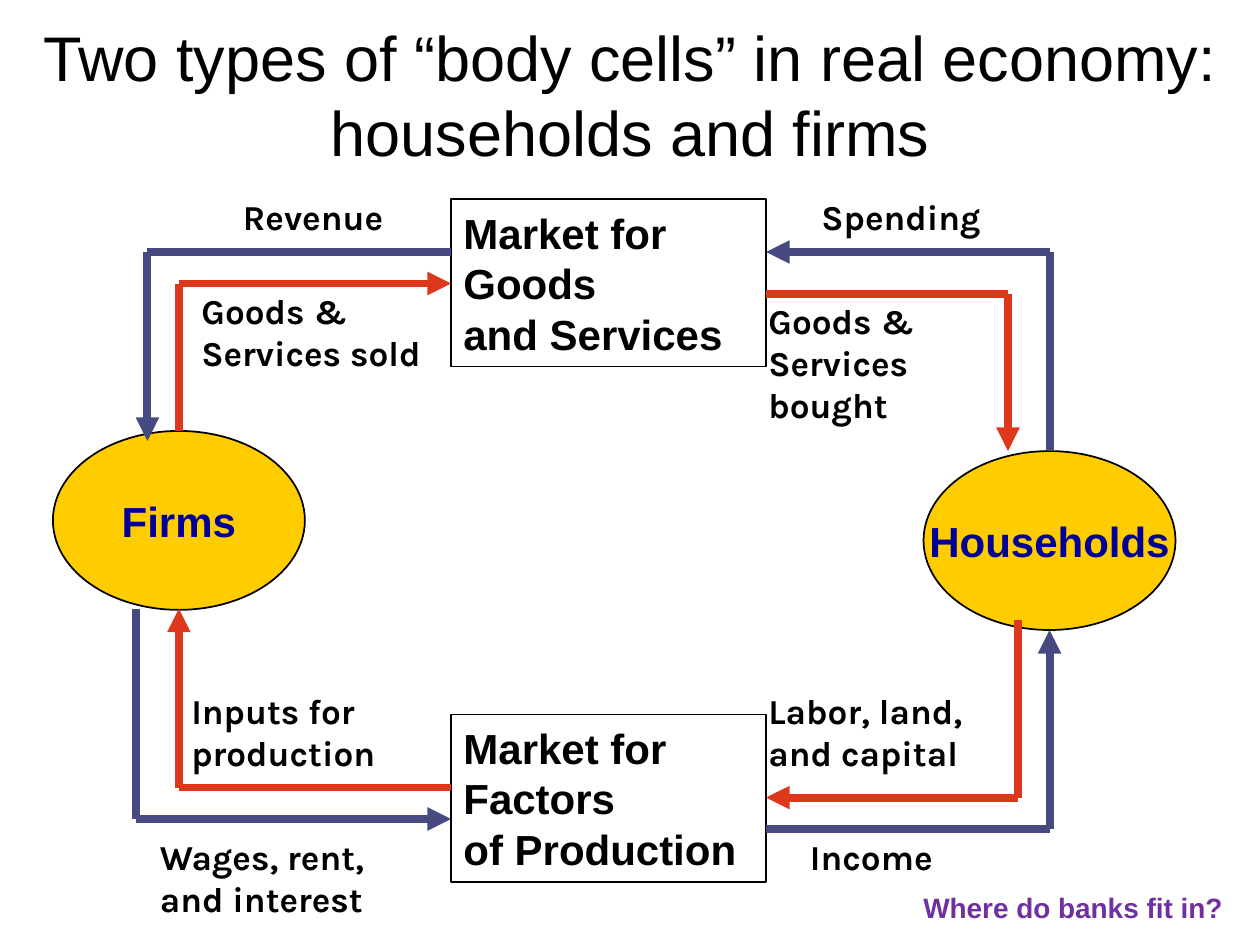
from itertools import pairwise

from lxml.etree import SubElement
from pptx import Presentation
from pptx.dml.color import RGBColor
from pptx.enum.shapes import MSO_CONNECTOR, MSO_SHAPE
from pptx.enum.text import MSO_ANCHOR, PP_ALIGN
from pptx.oxml.ns import qn
from pptx.util import Inches, Pt

BLACK = RGBColor(0x00, 0x00, 0x00)
WHITE = RGBColor(0xFF, 0xFF, 0xFF)
GOLD = RGBColor(0xFF, 0xCC, 0x00)
NAVY = RGBColor(0x00, 0x00, 0x99)
PURPLE = RGBColor(0x70, 0x30, 0xA0)
MONEY = RGBColor(0x47, 0x4A, 0x81)
GOODS = RGBColor(0xDE, 0x38, 0x1C)

TITLE = {"name": "Arial", "size": Pt(36), "bold": False}
NODE = {"name": "Arial", "size": Pt(24), "bold": True}
LABEL = {"name": "Karla", "size": Pt(20), "bold": True}
QUESTION = {"name": "Arial", "size": Pt(16), "bold": True}


def write(shape, lines, style, color=BLACK, align=PP_ALIGN.LEFT, anchor=MSO_ANCHOR.TOP, wrap=True):
    """Fill a shape with one styled paragraph per line."""
    frame = shape.text_frame
    frame.word_wrap = wrap
    frame.vertical_anchor = anchor
    frame.text = "\n".join(lines)
    for para in frame.paragraphs:
        para.alignment = align
        for key, value in style.items():
            setattr(para.font, key, value)
        para.font.color.rgb = color


def add_text(page, box, text, style, **layout):
    """Place a text box holding one paragraph."""
    shape = page.shapes.add_textbox(*map(Inches, box))
    write(shape, [text], style, **layout)


def add_node(page, box, kind, fill, lines, **layout):
    """Place an outlined market or agent with its name inside."""
    node = page.shapes.add_shape(kind, *map(Inches, box))
    node.shadow.inherit = False
    node.fill.solid()
    node.fill.fore_color.rgb = fill
    node.line.color.rgb = BLACK
    node.line.width = Pt(1)
    write(node, lines, NODE, anchor=MSO_ANCHOR.MIDDLE, **layout)


def add_flow(page, box, turn, color, vertical_first):
    """Draw an L-shaped arrow along two sides of the box, bending at the turn."""
    left, top, width, height = box
    across, down = turn
    corner = (left + width * across, top + height * down)
    agent_end = (corner[0], top + height * (1 - down))
    market_end = (left + width * (1 - across), corner[1])
    route = [agent_end, corner, market_end]
    if not vertical_first:
        route.reverse()
    for start, end in pairwise(route):
        line = page.shapes.add_connector(MSO_CONNECTOR.STRAIGHT, *map(Inches, start + end))
        line.line.color.rgb = color
        line.line.width = Pt(4.5)
        SubElement(line._element.spPr, qn("a:effectLst"))
    SubElement(line.line._get_or_add_ln(), qn("a:tailEnd"), type="triangle")


def add_quadrant(page, turn, money_box, goods_box, labels):
    """Draw the opposed money and goods flows of one quadrant with their labels."""
    money_from_agent = turn[0] != turn[1]
    add_flow(page, money_box, turn, MONEY, money_from_agent)
    add_flow(page, goods_box, turn, GOODS, not money_from_agent)
    for text, box in labels.items():
        add_text(page, box, text, LABEL)


def add_agents(page):
    """Place the two kinds of body cells."""
    for name, left, top in (("Firms", 0.42, 3.42), ("Households", 7.33, 3.58)):
        add_node(page, (left, top, 2, 1.42), MSO_SHAPE.OVAL, GOLD, [name],
                 color=NAVY, align=PP_ALIGN.CENTER, wrap=False)


def add_markets(page):
    """Place the two markets in the middle column."""
    markets = {
        5.67: ["Market for", "Factors", "of Production"],
        1.58: ["Market for", "Goods", "and Services"],
    }
    for top, lines in markets.items():
        add_node(page, (3.58, top, 2.5, 1.33), MSO_SHAPE.RECTANGLE, WHITE, lines)


def add_flows(page):
    """Draw the four quadrants of the circular flow."""
    add_quadrant(page, (0, 0), (1.17, 2, 2.41, 1.5), (1.42, 2.25, 2.16, 1.17), {
        "Revenue": (1.83, 1.5, 1.92, 0.44),
        "Goods & Services sold": (1.5, 2.25, 2.17, 0.77),
    })
    add_quadrant(page, (1, 0), (6.08, 2, 2.25, 1.58), (6.08, 2.33, 1.92, 1.25), {
        "Spending": (6.42, 1.5, 1.92, 0.44),
        "Goods & Services bought": (6, 2.33, 2.17, 1.1),
    })
    add_quadrant(page, (0, 1), (1.08, 4.83, 2.5, 1.67), (1.42, 4.83, 2.16, 1.42), {
        "Wages, rent, and interest": (1.17, 6.58, 2.17, 0.77),
        "Inputs for production": (1.42, 5.42, 2.17, 0.77),
    })
    add_quadrant(page, (1, 1), (6.08, 5, 2.25, 1.58), (6.08, 4.92, 2, 1.41), {
        "Income": (6.33, 6.58, 1.92, 0.44),
        "Labor, land, and capital": (6, 5.42, 2.17, 0.77),
    })


def main():
    """Build the circular flow slide."""
    deck = Presentation()
    deck.slide_width, deck.slide_height = Inches(10), Inches(7.5)
    page = deck.slides.add_slide(deck.slide_layouts[6])
    add_text(page, (0, 0.33, 10, 0.83),
             "Two types of “body cells” in real economy: households and firms", TITLE,
             align=PP_ALIGN.CENTER, anchor=MSO_ANCHOR.MIDDLE)
    add_agents(page)
    add_markets(page)
    add_flows(page)
    add_text(page, (7.23, 7.02, 2.7, 0.37), "Where do banks fit in?", QUESTION, color=PURPLE)
    deck.save("out.pptx")


if __name__ == "__main__":
    main()
